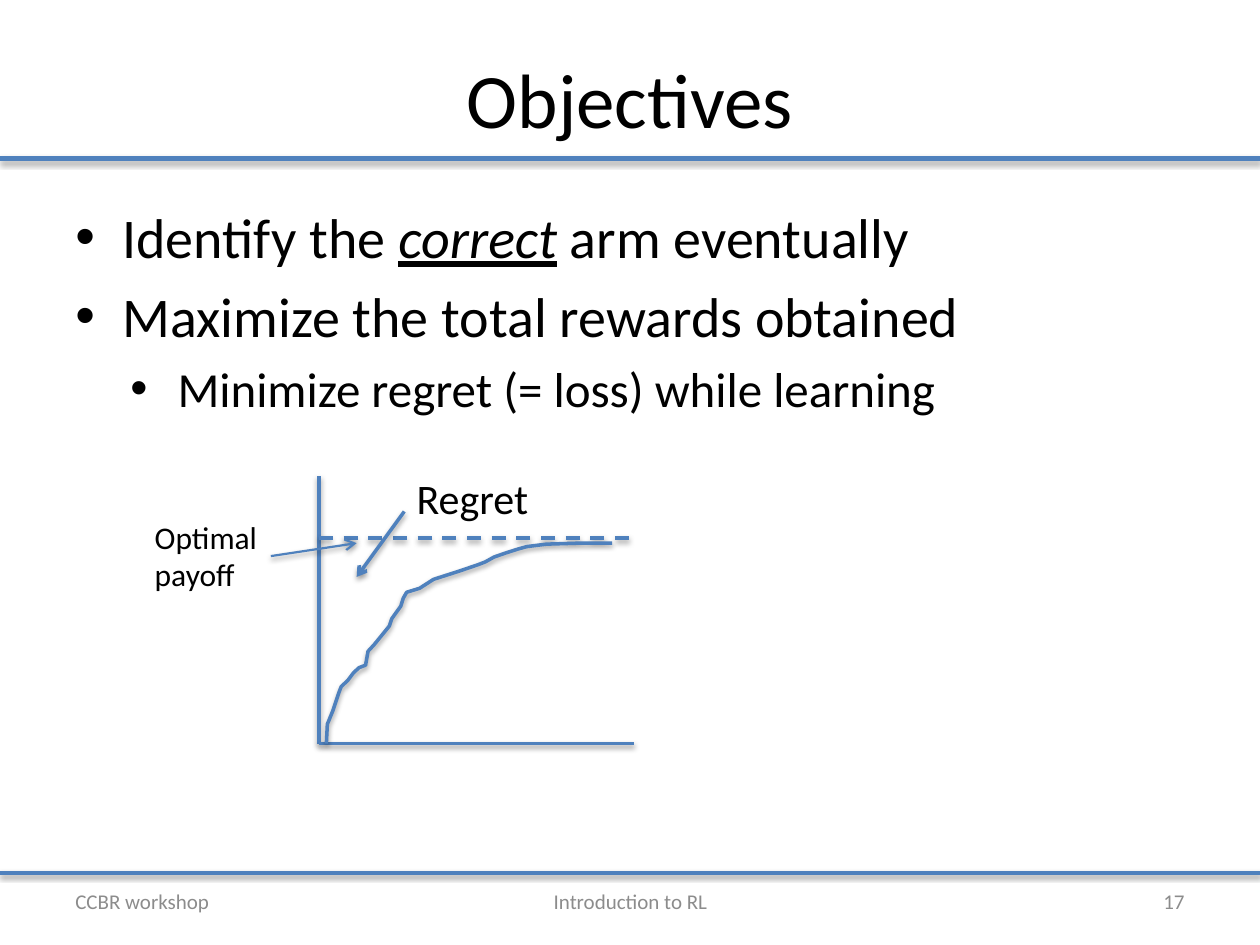
from dataclasses import dataclass

from lxml.etree import SubElement
from pptx import Presentation
from pptx.dml.color import RGBColor
from pptx.enum.dml import MSO_LINE
from pptx.enum.shapes import MSO_CONNECTOR
from pptx.enum.text import MSO_ANCHOR, MSO_AUTO_SIZE, PP_ALIGN
from pptx.oxml.ns import qn
from pptx.util import Cm, Pt


@dataclass(frozen=True)
class Theme:
    font: str = "Calibri"
    ink: str = "000000"
    accent: str = "4F81BD"
    muted: str = "8C8C8C"
    title: int = 44
    body: tuple = (32, 28)
    regret: int = 24
    label: int = 18
    footer: int = 12


class SlideBuilder:
    def __init__(self, slide, theme):
        self.slide = slide
        self.theme = theme

    def apply(self, target, values):
        for name, value in values.items():
            setattr(target, name, value)

    def format_font(self, font, size, color=None, **values):
        self.apply(font, {"name": self.theme.font, "size": Pt(size), **values})
        font.color.rgb = RGBColor.from_string(color or self.theme.ink)

    def format_line(self, shape, width, dash=None, arrow=False):
        shape.line.color.rgb = RGBColor.from_string(self.theme.accent)
        shape.line.width = Pt(width)
        if dash:
            shape.line.dash_style = dash
        if arrow:
            SubElement(shape.line._get_or_add_ln(), qn("a:tailEnd"), type="arrow")
        effects = SubElement(shape._element.spPr, qn("a:effectLst"))
        shadow = SubElement(effects, qn("a:outerShdw"), blurRad=str(Pt(3.1)),
                            dist=str(Pt(1.6)), dir="5400000", rotWithShape="0")
        color = SubElement(shadow, qn("a:srgbClr"), val=self.theme.ink)
        SubElement(color, qn("a:alpha"), val="38000")

    def line(self, start, end, width=2, source=None, **style):
        ends = [Cm(value) for value in (*start, *end)]
        connector = self.slide.shapes.add_connector(MSO_CONNECTOR.STRAIGHT, *ends)
        if source:
            connector.begin_connect(*source)
        self.format_line(connector, width, **style)

    def curve(self, points, width=2):
        corners = [(Cm(x), Cm(y)) for x, y in points]
        builder = self.slide.shapes.build_freeform(*corners[0])
        builder.add_line_segments(corners[1:], close=False)
        shape = builder.convert_to_shape()
        shape.fill.background()
        self.format_line(shape, width)

    def text_box(self, place, **values):
        shape = self.slide.shapes.add_textbox(*[Cm(value) for value in place])
        self.apply(shape.text_frame, {"word_wrap": True, **values})
        return shape

    def text(self, place, lines, size, color=None, align=PP_ALIGN.LEFT, **values):
        shape = self.text_box(place, **values)
        frame = shape.text_frame
        frame.text = "\n".join(lines)
        for paragraph in frame.paragraphs:
            paragraph.alignment = align
            self.format_font(paragraph.font, size, color)
        return shape

    def bullets(self, place, items):
        frame = self.text_box(place).text_frame
        for index, (level, runs) in enumerate(items):
            paragraph = frame.add_paragraph() if index else frame.paragraphs[0]
            size = self.theme.body[level]
            paragraph.level = level
            if index:
                paragraph.space_before = Pt(size * 0.2)
            properties = paragraph._p.get_or_add_pPr()
            properties.set("marL", str(Cm(0.95 + 1.11 * level)))
            properties.set("indent", str(Cm(-0.95)))
            SubElement(properties, qn("a:buFont"), typeface="Arial")
            SubElement(properties, qn("a:buChar"), char="•")
            for words, emphasis in runs:
                run = paragraph.add_run()
                run.text = words
                self.format_font(run.font, size, **emphasis)


def main():
    theme = Theme()
    presentation = Presentation()
    width, height = 25.4, 19.05
    presentation.slide_width = Cm(width)
    presentation.slide_height = Cm(height)
    slide = presentation.slides.add_slide(presentation.slide_layouts[6])
    builder = SlideBuilder(slide, theme)

    for y, weight in ((3.2, 3), (17.6, 2)):
        builder.line((0, y), (width, y), weight)

    builder.text((1.27, 0.76, 22.86, 2.41), ["Objectives"], theme.title,
                 align=PP_ALIGN.CENTER, vertical_anchor=MSO_ANCHOR.MIDDLE)
    emphasis = {"italic": True, "underline": True}
    builder.bullets((1.27, 3.96, 22.86, 13.06), [
        (0, [("Identify the ", {}), ("correct", emphasis), (" arm eventually", {})]),
        (0, [("Maximize the total rewards obtained", {})]),
        (1, [("Minimize regret (= loss) while learning", {})]),
    ])

    left, right, top, bottom, optimum = 6.43, 12.78, 9.6, 14.99, 10.85
    builder.line((left, top), (left, bottom))
    builder.line((left, bottom), (right, bottom))
    builder.line((left, optimum), (right, optimum), dash=MSO_LINE.DASH)
    builder.curve([
        (6.58, bottom), (6.6, 14.6), (6.71, 14.33), (6.83, 13.97), (6.88, 13.84),
        (7.01, 13.72), (7.13, 13.56), (7.24, 13.46), (7.37, 13.41), (7.42, 13.13),
        (7.54, 13), (7.72, 12.78), (7.85, 12.62), (7.9, 12.47), (8.08, 12.22),
        (8.13, 12.06), (8.2, 11.94), (8.46, 11.86), (8.74, 11.68), (9.27, 11.51),
        (9.65, 11.38), (9.78, 11.33), (9.96, 11.23), (10.19, 11.15), (10.44, 11.07),
        (10.62, 11.02), (11.02, 10.97), (11.68, 10.95), (12.34, 10.95),
    ])

    label_style = {"word_wrap": False, "auto_size": MSO_AUTO_SIZE.SHAPE_TO_FIT_TEXT}
    builder.line((8.15, 10.31), (7.19, 11.63), arrow=True)
    builder.text((8.15, 9.4, 2.82, 1.27), ["Regret"], theme.regret, **label_style)
    payoff = builder.text((2.87, 10.31, 2.59, 1.8), ["Optimal", "payoff"],
                          theme.label, **label_style)
    builder.line((5.46, 11.21), (7.19, 10.95), 1.25, source=(payoff, 3), arrow=True)

    for x, box_width, words, align in (
        (1.27, 5.92, "CCBR workshop", PP_ALIGN.LEFT),
        (8.69, 8.04, "Introduction to RL", PP_ALIGN.CENTER),
        (18.21, 5.92, "17", PP_ALIGN.RIGHT),
    ):
        builder.text((x, 17.65, box_width, 1.02), [words], theme.footer, theme.muted,
                     align, vertical_anchor=MSO_ANCHOR.MIDDLE)

    presentation.save("out.pptx")


if __name__ == "__main__":
    main()
